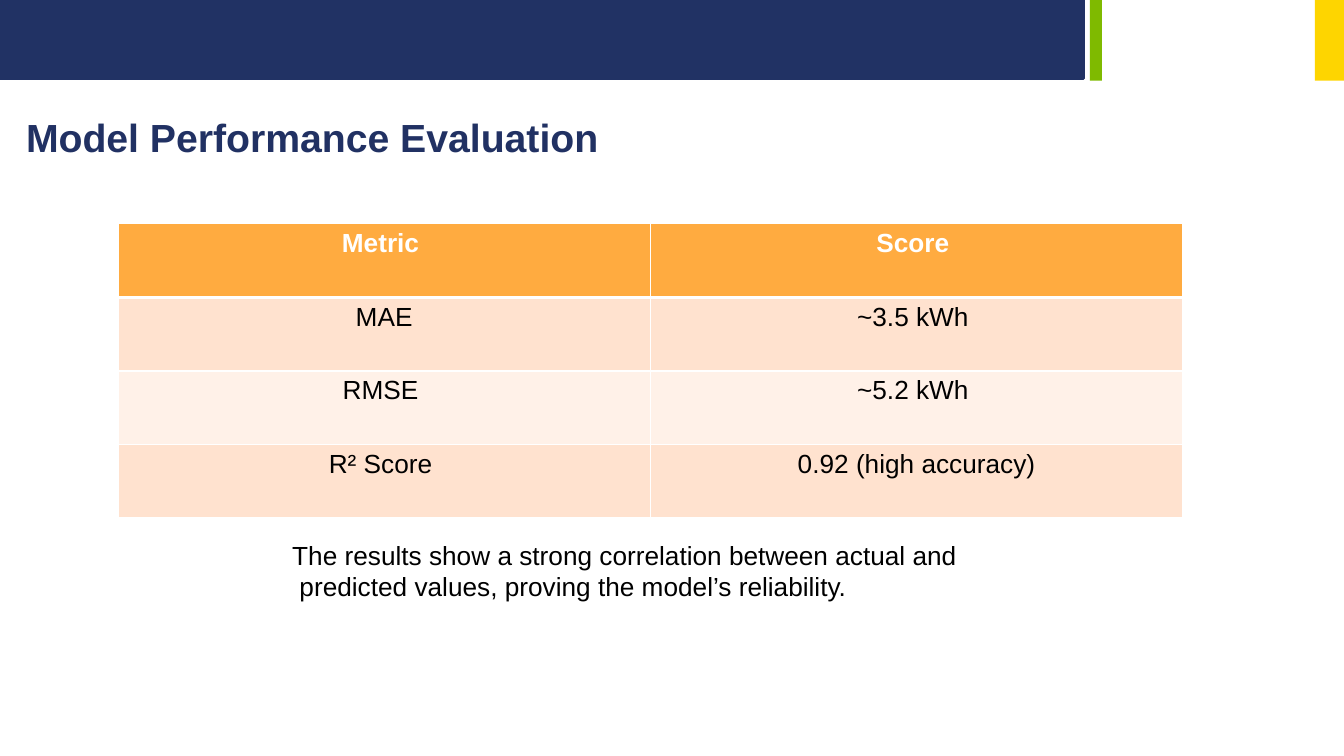
from pptx import Presentation
from pptx.dml.color import RGBColor
from pptx.enum import shapes, text
from pptx.oxml import parse_xml
from pptx.oxml.ns import nsdecls
from pptx.util import Inches, Pt

NAVY = RGBColor(0x21, 0x32, 0x64)
TITLE_NAVY = RGBColor(0x21, 0x31, 0x63)
GREEN = RGBColor(0x7F, 0xBA, 0x00)
YELLOW = RGBColor(0xFE, 0xD5, 0x00)
ORANGE = RGBColor(0xFF, 0xAB, 0x40)
PEACH = RGBColor(0xFF, 0xE2, 0xCF)
LIGHT_PEACH = RGBColor(0xFF, 0xF1, 0xE8)
WHITE = RGBColor(0xFF, 0xFF, 0xFF)
BLACK = RGBColor(0, 0, 0)


def style(paragraph, size, color, bold=False):
    font = paragraph.font
    font.name, font.size, font.bold = "Arial", Pt(size), bold
    font.color.rgb = color


def add_text(left, top, width, height, lines, size, color, bold=False):
    box = slide.shapes.add_textbox(Inches(left), Inches(top), Inches(width), Inches(height))
    frame = box.text_frame
    frame.word_wrap = True
    frame.auto_size = text.MSO_AUTO_SIZE.SHAPE_TO_FIT_TEXT
    frame.text = "\n".join(lines)
    for paragraph in frame.paragraphs:
        style(paragraph, size, color, bold)


presentation = Presentation()
presentation.slide_width = Inches(13.33)
presentation.slide_height = Inches(7.5)
slide = presentation.slides.add_slide(presentation.slide_layouts[6])

# Header bars
for left, width, height, color in [
    (0, 10.75, 0.78, NAVY),
    (10.81, 0.12, 0.8, GREEN),
    (13.04, 0.29, 0.8, YELLOW),
]:
    bar = slide.shapes.add_shape(
        shapes.MSO_SHAPE.RECTANGLE, Inches(left), 0, Inches(width), Inches(height))
    bar.shadow.inherit = False
    bar.fill.solid()
    bar.fill.fore_color.rgb = color
    if color == NAVY:
        bar.line.color.rgb = NAVY
        bar.line.width = Pt(2)
    else:
        bar.line.fill.background()

# Title
add_text(0.16, 1.08, 6.67, 0.57, ["Model Performance Evaluation"], 28, TITLE_NAVY, True)

# Metrics table
metrics = [
    ("Metric ", "Score "),
    ("MAE", "~3.5 kWh "),
    ("RMSE ", "~5.2 kWh "),
    ("R² Score ", " 0.92 (high accuracy) "),
]
row_fills = [ORANGE, PEACH, LIGHT_PEACH, PEACH]
table = slide.shapes.add_table(
    len(metrics), 2, Inches(1.17), Inches(2.22), Inches(10.56), Inches(2.92)).table
for row, values in enumerate(metrics):
    header = row == 0
    for column, value in enumerate(values):
        cell = table.cell(row, column)
        cell.text = value
        paragraph = cell.text_frame.paragraphs[0]
        paragraph.alignment = text.PP_ALIGN.CENTER
        style(paragraph, 18.7, WHITE if header else BLACK, header)
        cell.fill.solid()
        cell.fill.fore_color.rgb = row_fills[row]
        # White borders, thicker between the header and the first row
        properties = cell._tc.get_or_add_tcPr()
        for index, side in enumerate(["lnL", "lnR", "lnT", "lnB"]):
            thick = (row, side) in [(0, "lnB"), (1, "lnT")]
            properties.insert(index, parse_xml(
                f'<a:{side} {nsdecls("a")} w="{Pt(3 if thick else 1)}">'
                f'<a:solidFill><a:srgbClr val="{WHITE}"/></a:solidFill></a:{side}>'))

# Conclusion
add_text(2.8, 5.3, 7.08, 0.73, [
    "The results show a strong correlation between actual and",
    " predicted values, proving the model’s reliability.",
], 18.7, BLACK)

presentation.save("out.pptx")
